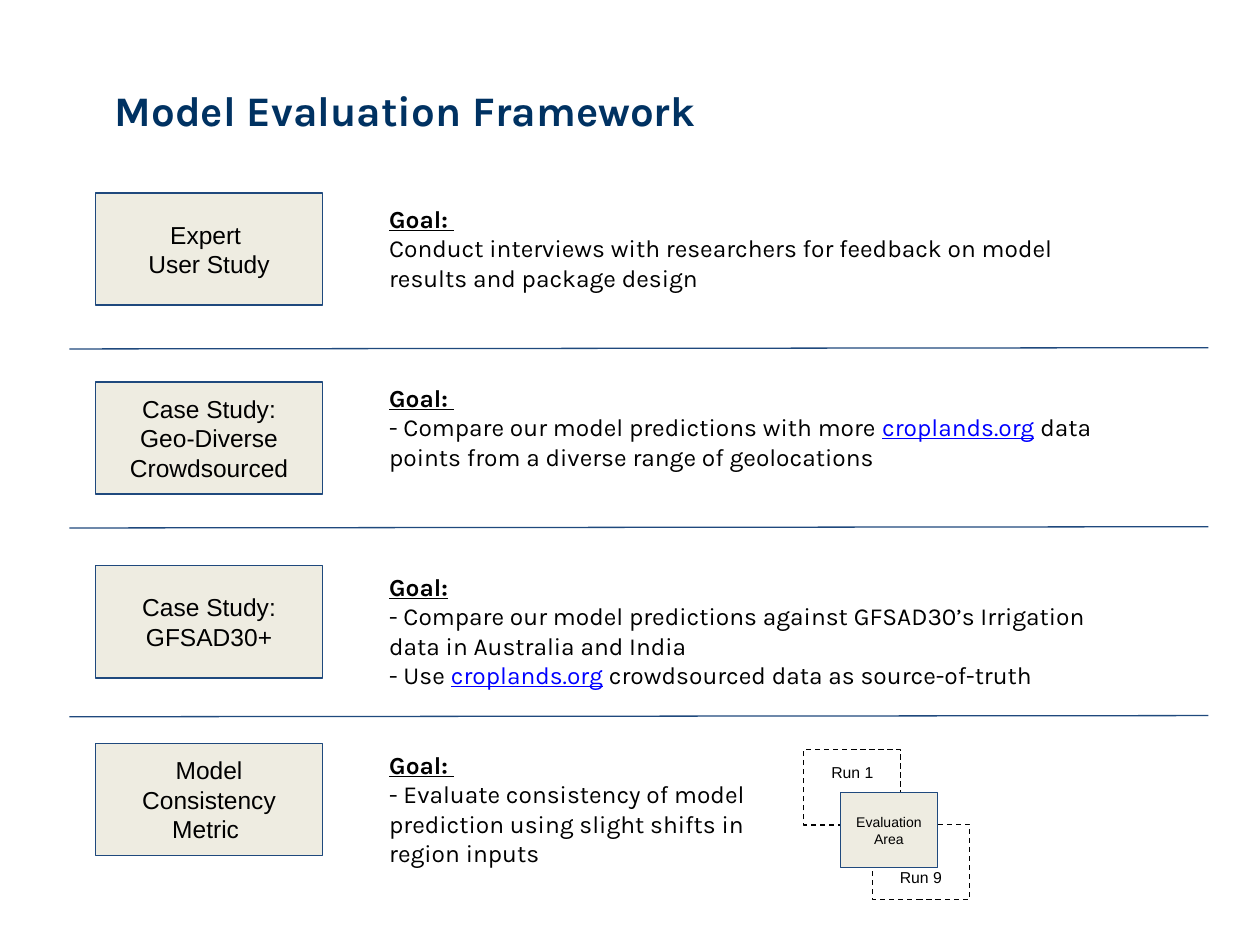
from lxml.etree import SubElement
from pptx import Presentation
from pptx.dml.color import RGBColor
from pptx.enum.dml import MSO_LINE
from pptx.enum.shapes import MSO_CONNECTOR, MSO_SHAPE
from pptx.enum.text import MSO_ANCHOR, PP_ALIGN
from pptx.oxml.ns import qn
from pptx.util import Pt

COLORS = {"title": "003262", "text": "000000", "link": "0000FF",
          "box": "EEECE1", "line": "1F497D"}


def write(shape, spans, size=14, font="Arial", color="text",
          align=PP_ALIGN.LEFT, anchor=MSO_ANCHOR.TOP, inset=7.2):
    """Fill a shape with (text, style) spans; a newline is a line break."""
    frame = shape.text_frame
    frame.word_wrap = True
    frame.vertical_anchor = anchor
    frame.margin_left = frame.margin_right = Pt(7.2)
    frame.margin_top = frame.margin_bottom = Pt(inset)
    para = frame.paragraphs[0]
    para.alignment = align
    for text, style in spans:
        for number, line in enumerate(text.split("\n")):
            if number:
                para.add_line_break()
            if not line:
                continue
            span = para.add_run()
            span.text = line
            span.font.name = font
            span.font.size = Pt(size)
            span.font.bold = style == "bold" or style == "goal"
            span.font.underline = style in ("goal", "link")
            span.font.color.rgb = RGBColor.from_string(
                COLORS["link" if style == "link" else color])


def add_box(shapes, left, top, width, height, label, size, filled=True,
            anchor=MSO_ANCHOR.MIDDLE):
    """Add a labelled rectangle, filled or with a dashed outline only."""
    box = shapes.add_shape(MSO_SHAPE.RECTANGLE, Pt(left), Pt(top), Pt(width), Pt(height))
    box.shadow.inherit = False
    box.line.width = Pt(0.75)
    box.line.color.rgb = RGBColor.from_string(COLORS["line" if filled else "text"])
    if filled:
        box.fill.solid()
        box.fill.fore_color.rgb = RGBColor.from_string(COLORS["box"])
    else:
        box.fill.background()
        box.line.dash_style = MSO_LINE.DASH
    write(box, [(label, "plain")], size=size, align=PP_ALIGN.CENTER, anchor=anchor)


deck = Presentation()
deck.slide_width, deck.slide_height = Pt(720), Pt(540)
page = deck.slides.add_slide(deck.slide_layouts[5])

title = page.shapes.title
title.left, title.top, title.width, title.height = Pt(58.3), Pt(33.8), Pt(603.4), Pt(58.3)
write(title, [("Model Evaluation Framework", "bold")], size=24, font="Karla",
      color="title", anchor=MSO_ANCHOR.MIDDLE, inset=3.6)

# Box top, box label, goal top, goal width, goal height, goal spans
studies = [
    (110.2, "Expert \nUser Study", 109.4, 420.5, 47.5, [
        ("Goal: \n", "goal"),
        ("Conduct interviews with researchers for feedback on model results "
         "and package design", "plain")]),
    (218.2, "Case Study:\nGeo-Diverse\nCrowdsourced", 211.7, 420.5, 47.5, [
        ("Goal: \n", "goal"),
        ("- Compare our model predictions with more ", "plain"),
        ("croplands.org", "link"),
        (" data points from a diverse range of geolocations", "plain")]),
    (323.3, "Case Study:\nGFSAD30+", 319.7, 420.5, 47.5, [
        ("Goal:", "goal"),
        (" \n- Compare our model predictions against GFSAD30’s Irrigation data "
         "in Australia and India \n- Use ", "plain"),
        ("croplands.org", "link"),
        (" crowdsourced data as source-of-truth", "plain")]),
    (424.8, "Model Consistency\nMetric ", 421.2, 221.8, 72.7, [
        ("Goal: \n", "goal"),
        ("- Evaluate consistency of model prediction using slight shifts in "
         "region inputs", "plain")]),
]
for box_top, label, goal_top, goal_width, goal_height, goal in studies:
    add_box(page.shapes, 54.7, box_top, 129.6, 64.1, label, 14)
    goal_box = page.shapes.add_textbox(Pt(215.3), Pt(goal_top), Pt(goal_width), Pt(goal_height))
    write(goal_box, goal, font="Karla")

for divider_top in (199.1, 301.4, 409.3):
    divider = page.shapes.add_connector(
        MSO_CONNECTOR.STRAIGHT, Pt(39.6), Pt(divider_top + 0.3), Pt(690.5), Pt(divider_top - 0.4))
    divider.line.width = Pt(0.75)
    divider.line.color.rgb = RGBColor.from_string(COLORS["line"])
    SubElement(divider._element.spPr, qn("a:effectLst"))

runs = page.shapes.add_group_shape().shapes
for left, top, label, size, filled, anchor in (
        (459.2, 428.4, "Run 1", 9, False, MSO_ANCHOR.TOP),
        (498.4, 471, "Run 9", 9, False, MSO_ANCHOR.BOTTOM),
        (480.2, 452.9, "Evaluation Area", 8, True, MSO_ANCHOR.MIDDLE)):
    add_box(runs, left, top, 55.6, 43, label, size, filled, anchor)

deck.save("out.pptx")
